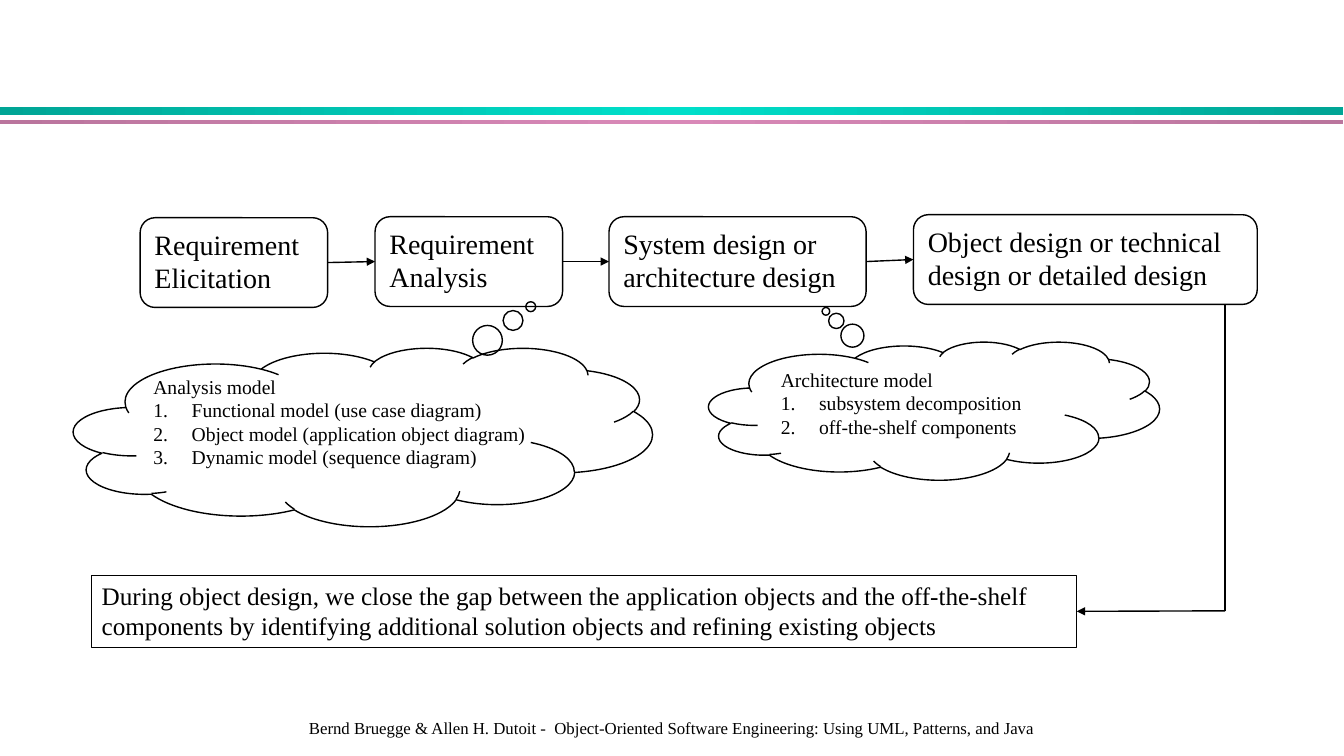
import copy

import pptx
import pptx.dml.color
import pptx.enum.shapes
import pptx.enum.text
import pptx.oxml.ns
import pptx.util
from pptx.util import Inches

BLACK = pptx.dml.color.RGBColor(0x00, 0x00, 0x00)
TEAL_DARK = pptx.dml.color.RGBColor(0x00, 0xA5, 0x95)
TEAL = pptx.dml.color.RGBColor(0x00, 0xDF, 0xCA)
PINK_DARK = pptx.dml.color.RGBColor(0xBA, 0x75, 0x9D)
PINK = pptx.dml.color.RGBColor(0xD9, 0x89, 0xB8)
SHAPE = pptx.enum.shapes.MSO_SHAPE
ALIGN = pptx.enum.text.PP_ALIGN
FRAME = {
    "word_wrap": True,
    "vertical_anchor": pptx.enum.text.MSO_ANCHOR.TOP,
    "margin_left": Inches(0.1),
    "margin_right": Inches(0.1),
    "margin_top": Inches(0.05),
    "margin_bottom": Inches(0.05),
}
qn = pptx.oxml.ns.qn

prs = pptx.Presentation()
prs.slide_width, prs.slide_height = Inches(13.33), Inches(7.5)
s = prs.slides.add_slide(prs.slide_layouts[6])


def write(tf, lines, size, align=ALIGN.LEFT, **frame):
    """Fill a text frame; every line after the first is a numbered item."""
    for name, value in {**FRAME, **frame}.items():
        setattr(tf, name, value)
    for i, line in enumerate(lines):
        p = tf.add_paragraph() if i else tf.paragraphs[0]
        p.alignment = align
        if i:
            pPr = p._p.get_or_add_pPr()
            pPr.set("marL", str(Inches(0.38)))
            pPr.set("indent", str(-Inches(0.38)))
            number = pPr.makeelement(qn("a:buAutoNum"), {"type": "arabicPeriod"})
            pPr.append(number)
        r = p.add_run()
        r.text = line
        r.font.color.rgb = BLACK
        for name, value in {"name": "Times New Roman", "size": pptx.util.Pt(size)}.items():
            setattr(r.font, name, value)


def outlined(kind, box, lines, size, width=1, **frame):
    """Add an unfilled, black-outlined shape with text."""
    sp = s.shapes.add_shape(kind, *map(Inches, box))
    sp.shadow.inherit = False
    sp.fill.background()
    sp.line.color.rgb = BLACK
    sp.line.width = pptx.util.Pt(width)
    write(sp.text_frame, lines, size, **frame)
    return sp


# Gradient bands under the title area
for top, height, edge, centre in [
    (1.06, 0.08, TEAL_DARK, TEAL),
    (1.19, 0.04, PINK_DARK, PINK),
]:
    band = s.shapes.add_shape(SHAPE.RECTANGLE, 0, Inches(top), Inches(13.32), Inches(height))
    band.shadow.inherit = False
    band.line.fill.background()
    band.fill.gradient()
    band.fill.gradient_angle = 0
    stops = band._element.spPr.find(".//" + qn("a:gsLst"))
    middle = copy.deepcopy(stops[0])
    middle.set("pos", "50000")
    stops.insert(1, middle)
    for stop, colour in zip(band.fill.gradient_stops, (edge, centre, edge)):
        stop.color.rgb = colour

# Footer
footer = s.shapes.add_textbox(Inches(1.18), Inches(6.97), Inches(10.97), Inches(0.5))
write(
    footer.text_frame,
    ["Bernd Bruegge & Allen H. Dutoit -  Object-Oriented Software Engineering: "
     "Using UML, Patterns, and Java"],
    12, ALIGN.CENTER, word_wrap=False,
    vertical_anchor=pptx.enum.text.MSO_ANCHOR.MIDDLE,
)

# Process steps
steps = [
    outlined(SHAPE.ROUNDED_RECTANGLE, (left, top, width, 0.89), [label], 20)
    for left, top, width, label in [
        (1.39, 2.16, 1.86, "Requirement Elicitation"),
        (3.72, 2.15, 1.86, "Requirement Analysis"),
        (6.04, 2.15, 2.55, "System design or architecture design"),
        (9.06, 2.13, 3.41, "Object design or technical design or detailed design"),
    ]
]

# Thought clouds with the models
no_margins = {f"margin_{side}": 0 for side in ("left", "right", "top", "bottom")}
for box, tip, lines, margins in [
    ((0.73, 3.45, 5.74, 1.77), (0.29, -0.73),
     ["Analysis model", "Functional model (use case diagram)",
      "Object model (application object diagram)", "Dynamic model (sequence diagram)"],
     no_margins),
    ((7.03, 3.39, 4.47, 1.37), (-0.24, -0.72),
     ["Architecture model", "subsystem decomposition", "off-the-shelf components"], {}),
]:
    cloud = outlined(SHAPE.CLOUD_CALLOUT, box, lines, 14, **margins)
    cloud.adjustments[0], cloud.adjustments[1] = tip

# Explanation of object design
note = outlined(
    SHAPE.RECTANGLE, (0.91, 5.71, 9.77, 0.71),
    ["During object design, we close the gap between the application objects and the "
     "off-the-shelf components by identifying additional solution objects and refining "
     "existing objects"],
    18, width=0.75, auto_size=pptx.enum.text.MSO_AUTO_SIZE.SHAPE_TO_FIT_TEXT,
)

# Arrows between steps, and the bent path from the last step to the explanation
corner = (12.15, 6.06)
links = [((0, 0), (0, 0), a, b, True) for a, b in zip(steps, steps[1:])]
links += [
    ((12.15, 3.02), corner, None, None, False),
    (corner, (10.68, 6.06), None, note, True),
]
for start, end, source, target, arrow in links:
    line = s.shapes.add_connector(
        pptx.enum.shapes.MSO_CONNECTOR.STRAIGHT, *map(Inches, start + end))
    if source:
        line.begin_connect(source, 3)
    if target:
        line.end_connect(target, 1 if source else 3)
    line.line.color.rgb = BLACK
    line.line.width = pptx.util.Pt(1)
    if arrow:
        ln = line.line._get_or_add_ln()
        ln.append(ln.makeelement(qn("a:tailEnd"), {"type": "triangle"}))
    spPr = line._element.spPr
    spPr.append(spPr.makeelement(qn("a:effectLst"), {}))

prs.save("out.pptx")
